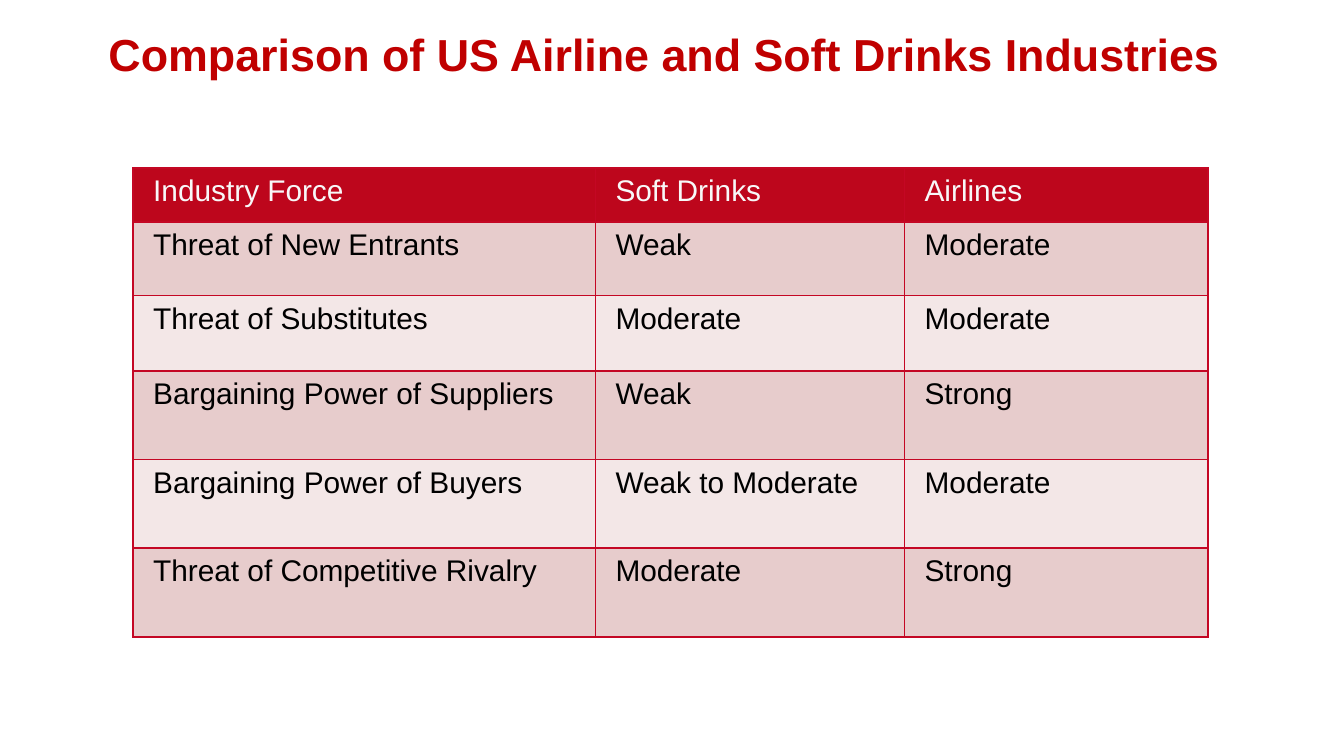
from lxml import etree
from pptx import Presentation
from pptx.dml.color import RGBColor
from pptx.enum.text import MSO_ANCHOR, PP_ALIGN
from pptx.oxml.ns import qn
from pptx.util import Inches, Pt

FONT = "Arial"
TITLE_RED = "C00000"
HEADER_RED = "BD061C"
BORDER_RED = "C40724"
HEADER_TEXT = "F8F8F8"
BODY_TEXT = "000000"
BANDS = ["E7CCCC", "F3E7E7"]

TITLE = "Comparison of US Airline and Soft Drinks Industries"
ROWS = [
    ["Industry Force", "Soft Drinks", "Airlines"],
    ["Threat of New Entrants", "Weak", "Moderate"],
    ["Threat of Substitutes", "Moderate", "Moderate"],
    ["Bargaining Power of Suppliers", "Weak", "Strong"],
    ["Bargaining Power of Buyers", "Weak to Moderate", "Moderate"],
    ["Threat of Competitive Rivalry", "Moderate", "Strong"],
]
COL_WIDTHS = [3.44, 2.3, 2.26]
ROW_HEIGHTS = [0.4, 0.55, 0.56, 0.66, 0.66, 0.66]


def rgb(color):
    return RGBColor.from_string(color)


def style_text(tf, size, color, bold=False):
    for p in tf.paragraphs:
        for r in p.runs:
            r.font.name = FONT
            r.font.size = Pt(size)
            r.font.bold = bold
            r.font.color.rgb = rgb(color)


def add_title(slide, text):
    tf = slide.shapes.add_textbox(
        Inches(0.68), Inches(0.15), Inches(8.52), Inches(0.5)).text_frame
    tf.word_wrap = True
    tf.text = text
    tf.paragraphs[0].alignment = PP_ALIGN.CENTER
    style_text(tf, 24, TITLE_RED, bold=True)


def set_borders(cell, color, width):
    tc_pr = cell._tc.get_or_add_tcPr()
    for side in ("a:lnL", "a:lnR", "a:lnT", "a:lnB"):
        ln = etree.SubElement(tc_pr, qn(side), w=str(Pt(width)))
        fill = etree.SubElement(ln, qn("a:solidFill"))
        etree.SubElement(fill, qn("a:srgbClr"), val=color)


def fill_cell(cell, text, fill, color):
    cell.text = text
    cell.margin_left = cell.margin_right = Inches(0.15)
    cell.margin_top = cell.margin_bottom = Inches(0.05)
    cell.vertical_anchor = MSO_ANCHOR.TOP
    style_text(cell.text_frame, 16, color)
    # Borders must come before the fill in the cell properties
    set_borders(cell, BORDER_RED, 0.96)
    cell.fill.solid()
    cell.fill.fore_color.rgb = rgb(fill)


def add_force_table(slide):
    table = slide.shapes.add_table(
        len(ROWS), len(COL_WIDTHS), Inches(0.99), Inches(1.25),
        Inches(sum(COL_WIDTHS)), Inches(sum(ROW_HEIGHTS))).table
    for column, width in zip(table.columns, COL_WIDTHS):
        column.width = Inches(width)
    for i, (row, height) in enumerate(zip(table.rows, ROW_HEIGHTS)):
        row.height = Inches(height)
        # Header row first, then alternating bands
        fill = BANDS[(i - 1) % 2] if i else HEADER_RED
        color = BODY_TEXT if i else HEADER_TEXT
        for cell, text in zip(row.cells, ROWS[i]):
            fill_cell(cell, text, fill, color)


def main():
    prs = Presentation()
    # Widescreen 16:9
    prs.slide_width = Inches(10)
    prs.slide_height = Inches(10 * 9 / 16)
    slide = prs.slides.add_slide(prs.slide_layouts[6])
    add_force_table(slide)
    add_title(slide, TITLE)
    prs.save("out.pptx")


if __name__ == "__main__":
    main()
